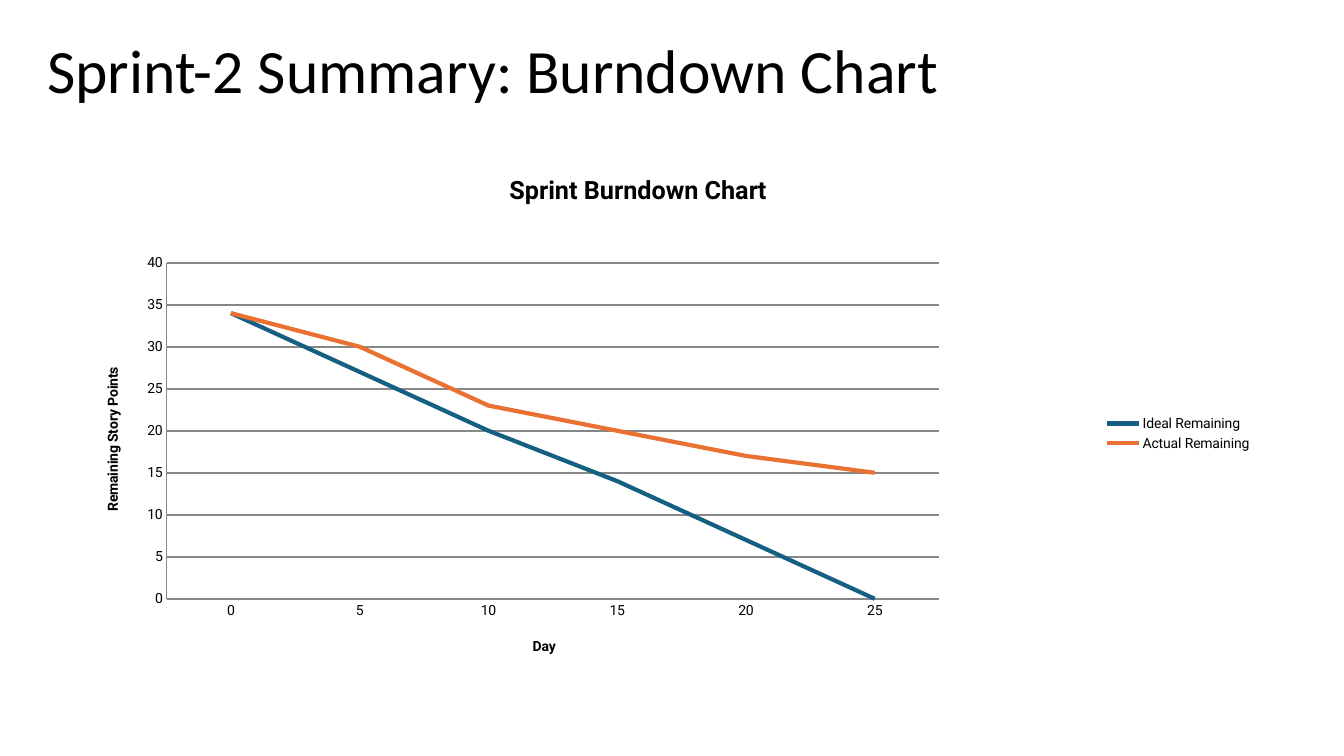
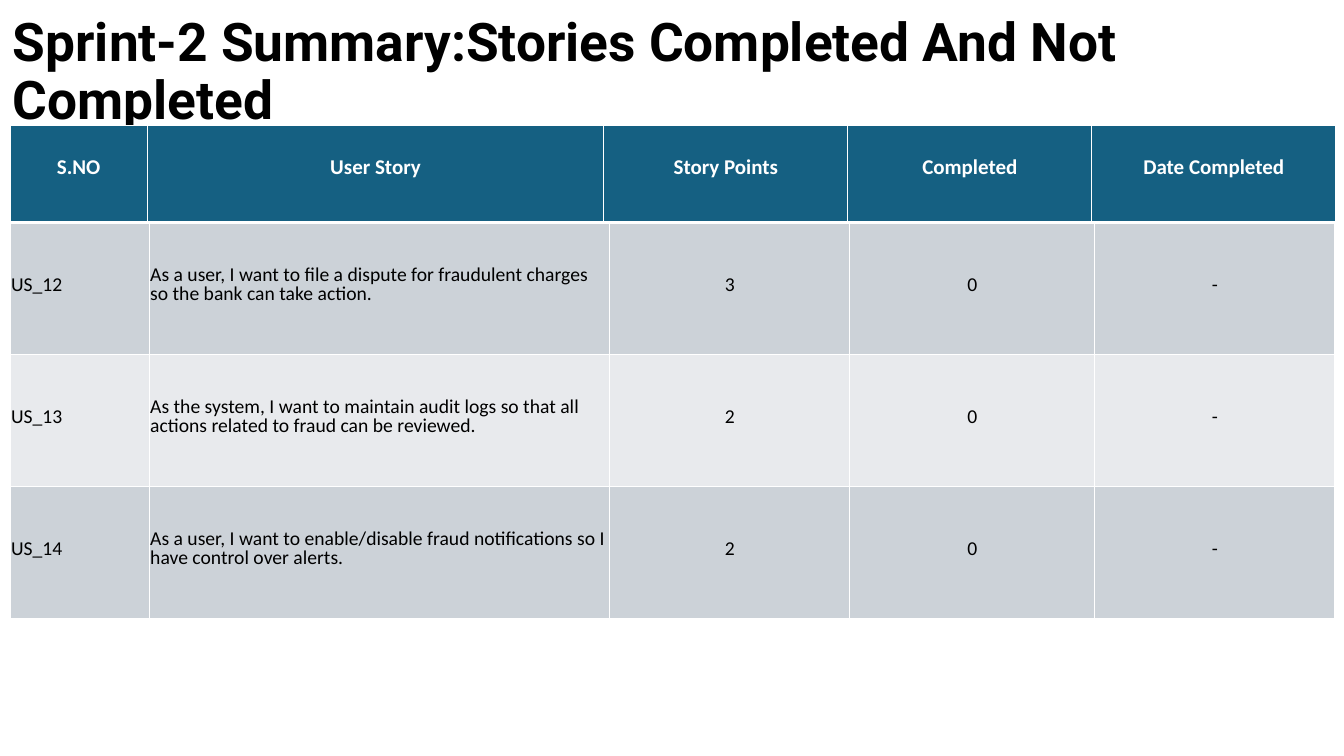
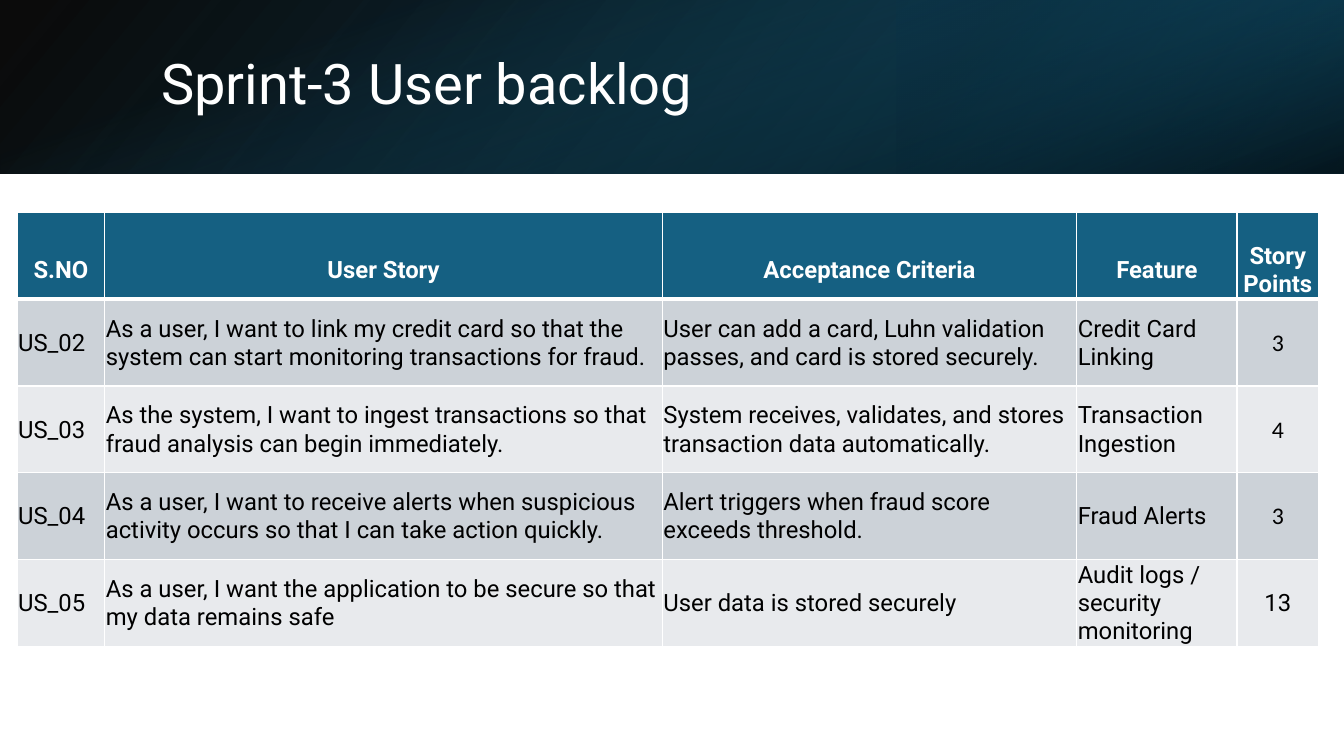
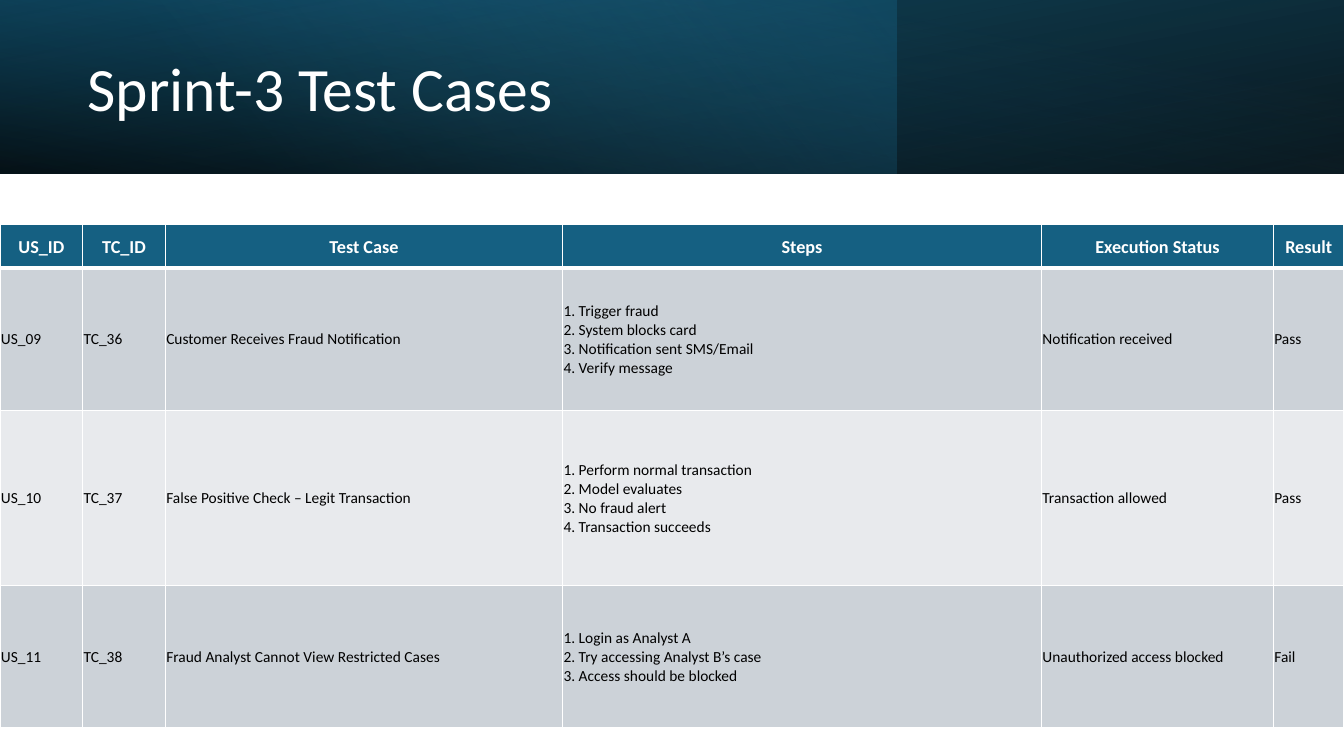
"""Build the four sprint review slides: burndown, stories, backlog and test cases."""
from dataclasses import dataclass, field

from lxml.etree import SubElement
from pptx import Presentation
from pptx.chart.data import CategoryChartData
from pptx.dml.color import RGBColor
from pptx.enum.chart import XL_CHART_TYPE, XL_LEGEND_POSITION, XL_TICK_MARK
from pptx.enum.shapes import MSO_SHAPE
from pptx.enum.text import MSO_ANCHOR, PP_ALIGN
from pptx.oxml import parse_xml
from pptx.oxml.ns import nsdecls, qn
from pptx.slide import Slide
from pptx.text.text import TextFrame
from pptx.util import Inches, Length, Pt

COLORS = {
    "black": "000000",
    "white": "FFFFFF",
    "teal": "156082",
    "deep_teal": "104862",
    "night": "0B3041",
    "sky": "46B1E1",
    "orange": "E97132",
    "band_dark": "CCD2D8",
    "band_light": "E8EAED",
    "grid": "878787",
}
SLIDE_W, SLIDE_H = 13.33, 7.5
BAND_H = 1.72
Box = tuple[float, float, float, float]


@dataclass
class Stop:
    """Hold one gradient stop, with position and opacity in percent."""
    position: int
    color: str
    opacity: int = 100


@dataclass
class Layer:
    """Hold one gradient rectangle of a title band, as seen before rotation."""
    box: Box
    stops: tuple[Stop, Stop]
    angle: int
    rotation: int = 0
    flip: bool = False


@dataclass
class Grid:
    """Hold a table: its place, wording and format."""
    box: Box
    cols: list[float]
    rows: list[float]
    size: float
    header: list[str] = field(default_factory=list)
    body: list[list[str]] = field(default_factory=list)
    header_size: float | None = None
    font: str = "Calibri"
    cell_fonts: dict[tuple[int, int], str] = field(default_factory=dict)
    centred: tuple[int, ...] = ()
    spacing: Length | None = None
    header_top: float = 0.01
    bottom: float = 0
    thin: float = 1
    thick: float = 3


def rgb(name: str) -> RGBColor:
    """Return the named colour."""
    return RGBColor.from_string(COLORS[name])


def write(tf: TextFrame, text: str, *, size: float, font: str = "Calibri", color: str = "black",
          bold: bool = False, align: PP_ALIGN | None = None,
          spacing: float | Length | None = None) -> None:
    """Write text into a frame, one paragraph a line."""
    for i, line in enumerate(text.split("\n")):
        p = tf.add_paragraph() if i else tf.paragraphs[0]
        p.alignment = align
        p.line_spacing = spacing
        r = p.add_run()
        r.text = line
        r.font.size, r.font.name, r.font.bold = Pt(size), font, bold
        r.font.color.rgb = rgb(color)


def add_title(slide: Slide, text: str, box: Box, *, size: float = 44, font: str = "Calibri",
              color: str = "black", bold: bool = False) -> None:
    """Add a slide title."""
    tf = slide.shapes.add_textbox(*map(Inches, box)).text_frame
    tf.word_wrap = True
    tf.vertical_anchor = MSO_ANCHOR.MIDDLE
    write(tf, text, size=size, font=font, color=color, bold=bold, spacing=0.9)


def add_layer(slide: Slide, layer: Layer) -> None:
    """Add one gradient rectangle."""
    s = slide.shapes.add_shape(MSO_SHAPE.RECTANGLE, *map(Inches, layer.box))
    s.shadow.inherit = False
    s.line.fill.background()
    s.rotation = layer.rotation
    if layer.flip:
        s.element.spPr.find(qn("a:xfrm")).set("flipH", "1")
    s.fill.gradient()
    s.fill.gradient_angle = 360 - layer.angle
    for stop, gs in zip(layer.stops, s.fill.gradient_stops):
        gs.position = stop.position / 100
        gs.color.rgb = rgb(stop.color)
    for stop, clr in zip(layer.stops, s.element.spPr.iter(qn("a:srgbClr"))):
        SubElement(clr, qn("a:alpha")).set("val", str(stop.opacity * 1000))


def add_grid(slide: Slide, grid: Grid) -> None:
    """Add a table with banded rows and a thick line between header and body."""
    texts = ([grid.header] if grid.header else []) + grid.body
    shape = slide.shapes.add_table(len(texts), len(grid.cols), *map(Inches, grid.box))
    table = shape.table
    table.first_row = table.horz_banding = False
    for col, width in zip(table.columns, grid.cols):
        col.width = Inches(width)
    for row, height in zip(table.rows, grid.rows):
        row.height = Inches(height)
    first_body = 1 if grid.header else 0
    for i, line in enumerate(texts):
        is_header = i < first_body
        band = "band_light" if (i - first_body) % 2 else "band_dark"
        for j, text in enumerate(line):
            cell = table.cell(i, j)
            cell.vertical_anchor = MSO_ANCHOR.MIDDLE
            cell.margin_left = cell.margin_right = Inches(0.01)
            cell.margin_top = Inches(grid.header_top if is_header else 0.01)
            cell.margin_bottom = Inches(grid.bottom)
            thick_side = "B" if is_header else "T" if i == first_body else ""
            for side in "LRTB":
                add_border(cell, side, grid.thick if side == thick_side else grid.thin)
            cell.fill.solid()
            cell.fill.fore_color.rgb = rgb("teal" if is_header else band)
            write(cell.text_frame, text,
                  size=(grid.header_size or grid.size) if is_header else grid.size,
                  font=grid.cell_fonts.get((i, j), grid.font),
                  color="white" if is_header else "black", bold=is_header,
                  align=PP_ALIGN.CENTER if is_header or j in grid.centred else PP_ALIGN.LEFT,
                  spacing=grid.spacing)


def add_border(cell, side: str, width: float) -> None:
    """Add a white line to one side of a table cell."""
    ln = SubElement(cell.fill._xPr, qn(f"a:ln{side}"), w=str(Pt(width)))
    fill = SubElement(ln, qn("a:solidFill"))
    SubElement(fill, qn("a:srgbClr"), val=COLORS["white"])


def set_layout(parent, index: int, **fractions: float) -> None:
    """Place a chart part by fractions of the chart size."""
    old = parent.find(qn("c:layout"))
    if old is not None:
        parent.remove(old)
    layout = parse_xml(f"<c:layout {nsdecls('c')}><c:manualLayout/></c:layout>")
    manual = layout[0]
    if "w" in fractions:
        SubElement(manual, qn("c:layoutTarget"), val="inner")
    for key in ("x", "y"):
        SubElement(manual, qn(f"c:{key}Mode"), val="edge")
    for key, value in fractions.items():
        SubElement(manual, qn(f"c:{key}"), val=str(value))
    parent.insert(index, layout)


def add_burndown(slide: Slide, box: Box) -> None:
    """Add the burndown line chart."""
    data = CategoryChartData()
    data.categories = ["0", "5", "10", "15", "20", "25"]
    data.add_series("Ideal Remaining", [34, 27, 20, 14, 7, 0])
    data.add_series("Actual Remaining", [34, 30, 23, 20, 17, 15])
    chart = slide.shapes.add_chart(XL_CHART_TYPE.LINE, *map(Inches, box), data).chart
    chart.font.size, chart.font.name = Pt(10), "Roboto"
    chart.font.color.rgb = rgb("black")
    chart.has_legend = True
    chart.legend.position = XL_LEGEND_POSITION.RIGHT
    chart.legend.include_in_layout = False

    days, points = chart.category_axis, chart.value_axis
    points.minimum_scale, points.maximum_scale, points.major_unit = 0, 40, 5
    points.has_major_gridlines = True
    for axis in (days, points):
        axis.major_tick_mark = axis.minor_tick_mark = XL_TICK_MARK.NONE
    for line, width in ((points.major_gridlines.format.line, 1.25),
                        (days.format.line, 0.75), (points.format.line, 0.75)):
        line.color.rgb, line.width = rgb("grid"), Pt(width)
    for series, color in zip(chart.plots[0].series, ("teal", "orange")):
        series.smooth = False
        series.format.line.color.rgb = rgb(color)
        series.format.line.width = Pt(3)

    for title, text, size, x, y in (
        (chart.chart_title, "Sprint Burndown Chart", 18, 0.4, 0.04),
        (days.axis_title, "Day", 10, 0.42, 0.85),
        (points.axis_title, "Remaining Story Points", 10, 0.08, 0.38),
    ):
        write(title.text_frame, text, size=size, font="Roboto", bold=True)
        set_layout(title.element, 1, x=x, y=y)
    plot_area = chart.element.find(".//" + qn("c:plotArea"))
    set_layout(plot_area, 0, x=0.13, y=0.2, w=0.61, h=0.59)
    set_layout(plot_area, 0, x=0.132, y=0.203, w=0.612, h=0.585)


BAND = (0, 0, SLIDE_W, BAND_H)
BASE_STOPS = (Stop(0, "black", 96), Stop(100, "deep_teal"))
BACKLOG_BAND = [
    Layer(BAND, BASE_STOPS, 140, flip=True),
    Layer((8.89, 0, 4.44, BAND_H), (Stop(19, "night", 68), Stop(100, "teal", 79)), 320,
          rotation=180, flip=True),
    Layer(((SLIDE_W - BAND_H) / 2, (BAND_H - SLIDE_W) / 2, BAND_H, SLIDE_W),
          (Stop(23, "teal", 0), Stop(99, "black", 74)), 340, rotation=90),
]
TESTS_BAND = [
    Layer(BAND, BASE_STOPS, 100, rotation=180, flip=True),
    Layer((0, 0, 8.89, BAND_H), (Stop(0, "teal", 41), Stop(74, "sky", 0)), 140),
    Layer(BAND, (Stop(0, "black", 63), Stop(78, "teal", 15)), 260, flip=True),
]
STORIES = Grid(
    (0.1, 2.21, 13.13, 3.94), [1.38, 4.57, 2.38, 2.43, 2.38], [1.31] * 3, 14,
    body=[
        ["US_12", "As a user, I want to file a dispute for fraudulent charges so the bank can "
         "take action.", "3", "0", "-"],
        ["US_13", "As the system, I want to maintain audit logs so that all actions related to "
         "fraud can be reviewed.", "2", "0", "-"],
        ["US_14", "As a user, I want to enable/disable fraud notifications so I have control "
         "over alerts.", "2", "0", "-"],
    ],
    centred=(2, 3, 4), spacing=Pt(13.5), bottom=0.05, thin=0.79, thick=2.38,
)
STORIES_HEADER = Grid(
    (0.1, 1.24, 13.14, 0.97), [1.36, 4.53, 2.42, 2.42, 2.42], [0.97], 15,
    header=["S.NO", "User Story", "Story Points", "Completed", "Date Completed"],
    spacing=Pt(12), bottom=0.05, thin=0.75, thick=2.03,
)
BACKLOG = Grid(
    (0.17, 2.11, 12.91, 4.32), [0.87, 5.53, 4.11, 1.59, 0.81], [0.86] * 5, 17,
    header=["S.NO", "User Story", "Acceptance Criteria", "Feature", "Story Points"],
    body=[
        ["US_02", "As a user, I want to link my credit card so that the system can start "
         "monitoring transactions for fraud.",
         "User can add a card, Luhn validation passes, and card is stored securely.",
         "Credit Card Linking", "3"],
        ["US_03", "As the system, I want to ingest transactions so that fraud analysis can "
         "begin immediately.",
         "System receives, validates, and stores transaction data automatically.",
         "Transaction Ingestion", "4"],
        ["US_04", "As a user, I want to receive alerts when suspicious activity occurs so that "
         "I can take action quickly.",
         "Alert triggers when fraud score exceeds threshold.", "Fraud Alerts", "3"],
        ["US_05", "As a user, I want the application to be secure so that my data remains safe",
         "User data is stored securely", "Audit logs / security monitoring", "13"],
    ],
    font="Roboto", cell_fonts={(i, 4): "Calibri" for i in (1, 2, 3)}, centred=(4,),
    header_top=0.28,
)
TESTS = Grid(
    (0, 2.23, SLIDE_W, 4.99), [0.82, 0.82, 3.94, 4.75, 2.3, 0.7], [0.43, 1.41, 1.74, 1.41], 11,
    header=["US_ID", "TC_ID", "Test Case", "Steps", "Execution Status", "Result"],
    body=[
        ["US_09", "TC_36", "Customer Receives Fraud Notification",
         "1. Trigger fraud\n2. System blocks card\n3. Notification sent SMS/Email\n"
         "4. Verify message", "Notification received", "Pass"],
        ["US_10", "TC_37", "False Positive Check – Legit Transaction",
         "1. Perform normal transaction\n2. Model evaluates\n3. No fraud alert\n"
         "4. Transaction succeeds", "Transaction allowed", "Pass"],
        ["US_11", "TC_38", "Fraud Analyst Cannot View Restricted Cases",
         "1. Login as Analyst A\n2. Try accessing Analyst B’s case\n"
         "3. Access should be blocked", "Unauthorized access blocked", "Fail"],
    ],
    header_size=13,
)


def main() -> None:
    """Build and save the presentation."""
    prs = Presentation()
    prs.slide_width, prs.slide_height = Inches(SLIDE_W), Inches(SLIDE_H)
    burndown, stories, backlog, tests = (
        prs.slides.add_slide(prs.slide_layouts[6]) for _ in range(4))

    add_title(burndown, "Sprint-2 Summary: Burndown Chart", (0.37, 0, 11.5, 1.45))
    add_burndown(burndown, (0, 1.45, 12.52, 5.7))

    add_title(stories, "Sprint-2 Summary:Stories Completed And Not Completed",
              (0.03, 0, 13.26, 1.45), size=38, font="Roboto", bold=True)
    add_grid(stories, STORIES)
    add_grid(stories, STORIES_HEADER)

    for slide, band in ((backlog, BACKLOG_BAND), (tests, TESTS_BAND)):
        for layer in band:
            add_layer(slide, layer)
    add_title(backlog, "Sprint-3 User backlog", (1.5, 0.38, 10.98, 0.96),
              size=40, font="Roboto", color="white")
    add_grid(backlog, BACKLOG)
    add_title(tests, "Sprint-3 Test Cases", (0.77, 0.27, 7.72, 1.27), color="white")
    add_grid(tests, TESTS)
    prs.save("out.pptx")


if __name__ == "__main__":
    main()
